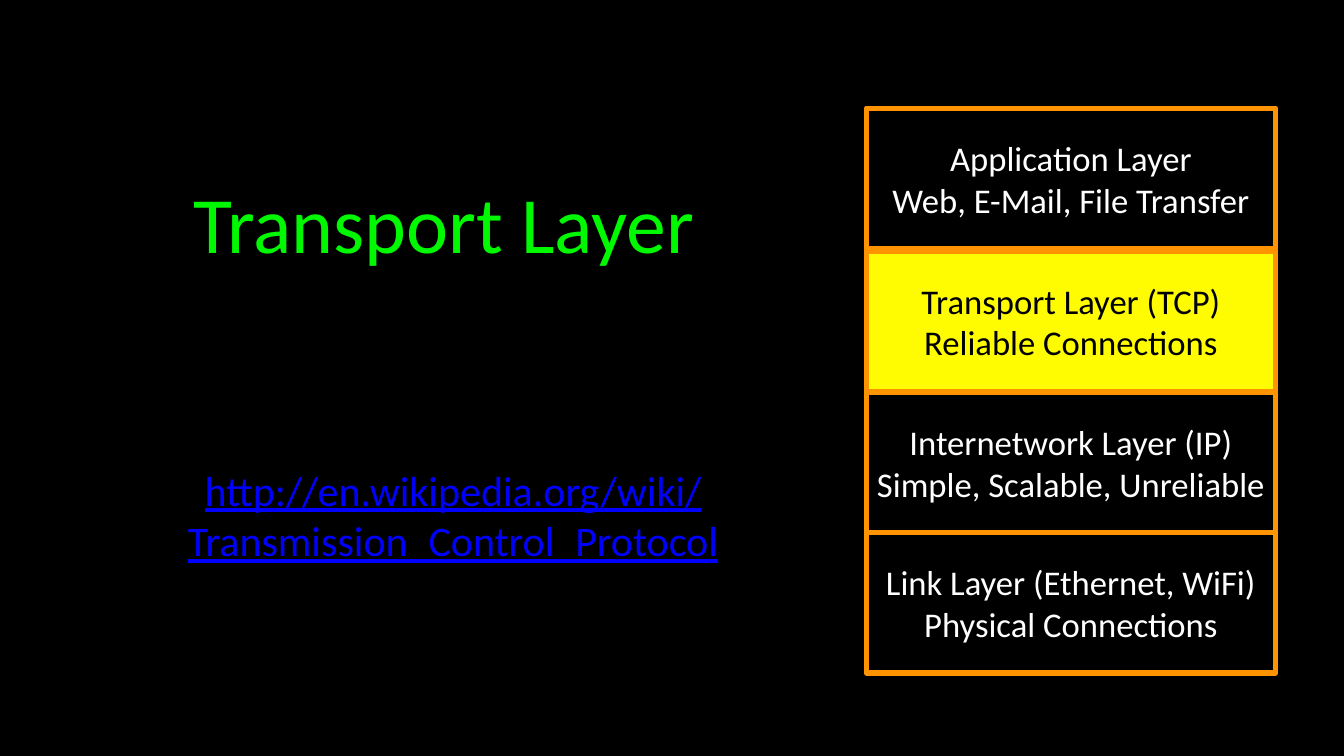
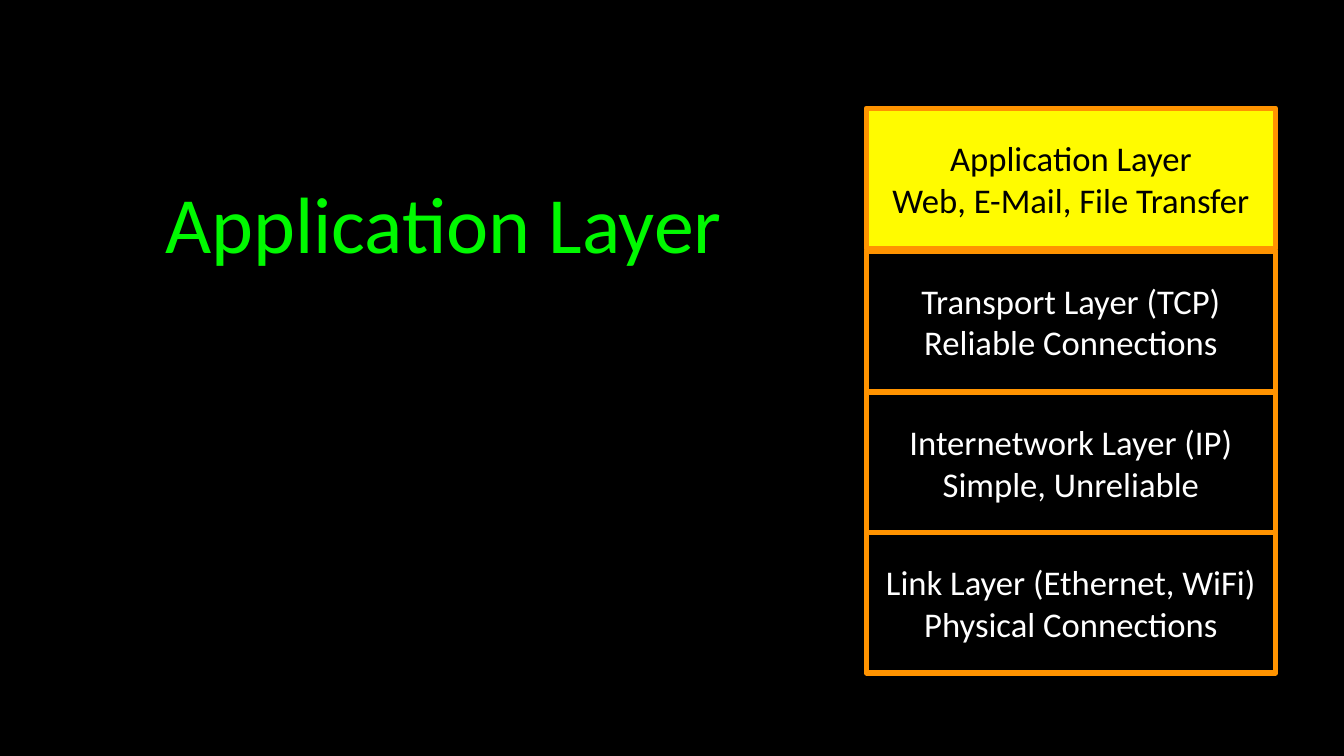
from pptx import Presentation
from pptx.dml.color import RGBColor
from pptx.enum.shapes import MSO_SHAPE
from pptx.enum.text import MSO_ANCHOR, PP_ALIGN
from pptx.util import Pt

FONT = "Calibri"
BLACK, WHITE, GREEN = "000000", "FFFFFF", "00F900"
YELLOW, ORANGE, BLUE = "FFFB00", "FF9300", "0000FF"

# Name, top edge
LAYERS = [
    ("Application Layer", 103),
    ("Transport Layer (TCP)", 239),
    ("Internetwork Layer (IP)", 373.5),
    ("Link Layer (Ethernet, WiFi)", 507),
]
LAYER_LEFT, LAYER_WIDTH, LAYER_HEIGHT = 825, 390, 134

SLIDES = [
    {
        "title": "Transport Layer",
        "highlighted": 1,
        "services": ["Web, E-Mail, File Transfer", "Reliable Connections",
                     "Simple, Scalable, Unreliable", "Physical Connections"],
        "address": "http://en.wikipedia.org/wiki/Transmission_Control_Protocol",
    },
    {
        "title": "Application Layer",
        "highlighted": 0,
        "services": ["Web, E-Mail, File Transfer", "Reliable Connections",
                     "Simple, Unreliable", "Physical Connections"],
    },
]


def color(value):
    return RGBColor.from_string(value)


def write(shape, text, size, text_color, inset=0, anchor=MSO_ANCHOR.MIDDLE, underline=False):
    frame = shape.text_frame
    frame.word_wrap = True
    frame.vertical_anchor = anchor
    frame.margin_left = frame.margin_right = Pt(inset)
    frame.margin_top = frame.margin_bottom = Pt(inset)
    frame.text = text
    for paragraph in frame.paragraphs:
        paragraph.alignment = PP_ALIGN.CENTER
        for run in paragraph.runs:
            run.font.name = FONT
            run.font.size = Pt(size)
            run.font.color.rgb = color(text_color)
            run.font.underline = underline


def add_text(slide, box, text, size, text_color, **options):
    shape = slide.shapes.add_textbox(*map(Pt, box))
    write(shape, text, size, text_color, inset=3, **options)


def add_layer_stack(slide, services, highlighted):
    for index, ((name, top), service) in enumerate(zip(LAYERS, services)):
        box = (LAYER_LEFT, top, LAYER_WIDTH, LAYER_HEIGHT)
        shape = slide.shapes.add_shape(MSO_SHAPE.RECTANGLE, *map(Pt, box))
        shape.shadow.inherit = False
        shape.line.color.rgb = color(ORANGE)
        shape.line.width = Pt(5)
        if index == highlighted:
            shape.fill.solid()
            shape.fill.fore_color.rgb = color(YELLOW)
        else:
            shape.fill.background()
        write(shape, f"{name}\n{service}", 33, BLACK if index == highlighted else WHITE)


def main():
    presentation = Presentation()
    presentation.slide_width = Pt(1280)
    presentation.slide_height = Pt(720)
    for content in SLIDES:
        slide = presentation.slides.add_slide(presentation.slide_layouts[6])
        slide.background.fill.solid()
        slide.background.fill.fore_color.rgb = color(BLACK)
        add_text(slide, (90.5, 71.5, 664, 279), content["title"], 76, GREEN)
        add_layer_stack(slide, content["services"], content["highlighted"])
        if "address" in content:
            add_text(slide, (51, 439, 761, 167), content["address"], 40, BLUE,
                     anchor=MSO_ANCHOR.TOP, underline=True)
    presentation.save("out.pptx")


if __name__ == "__main__":
    main()
